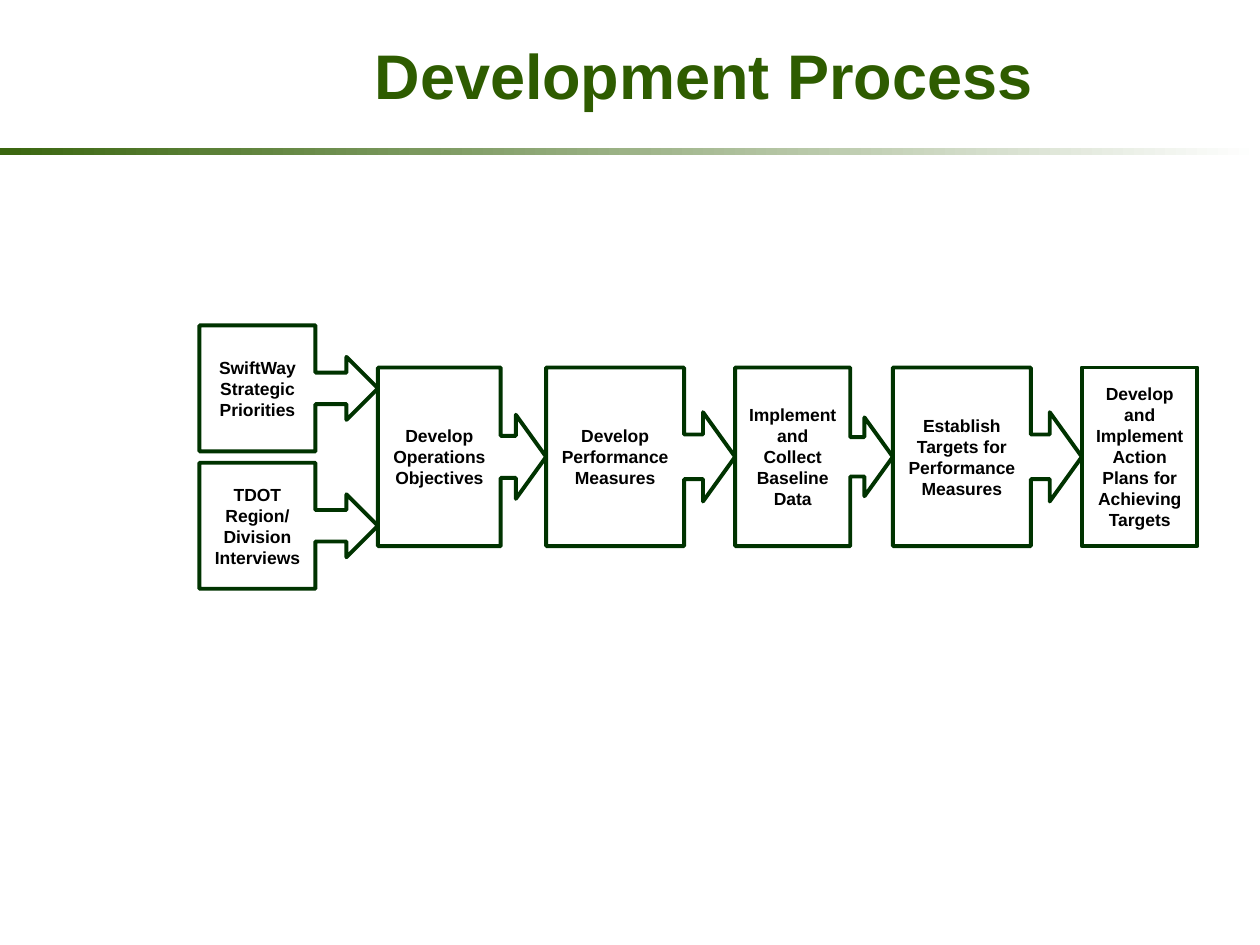
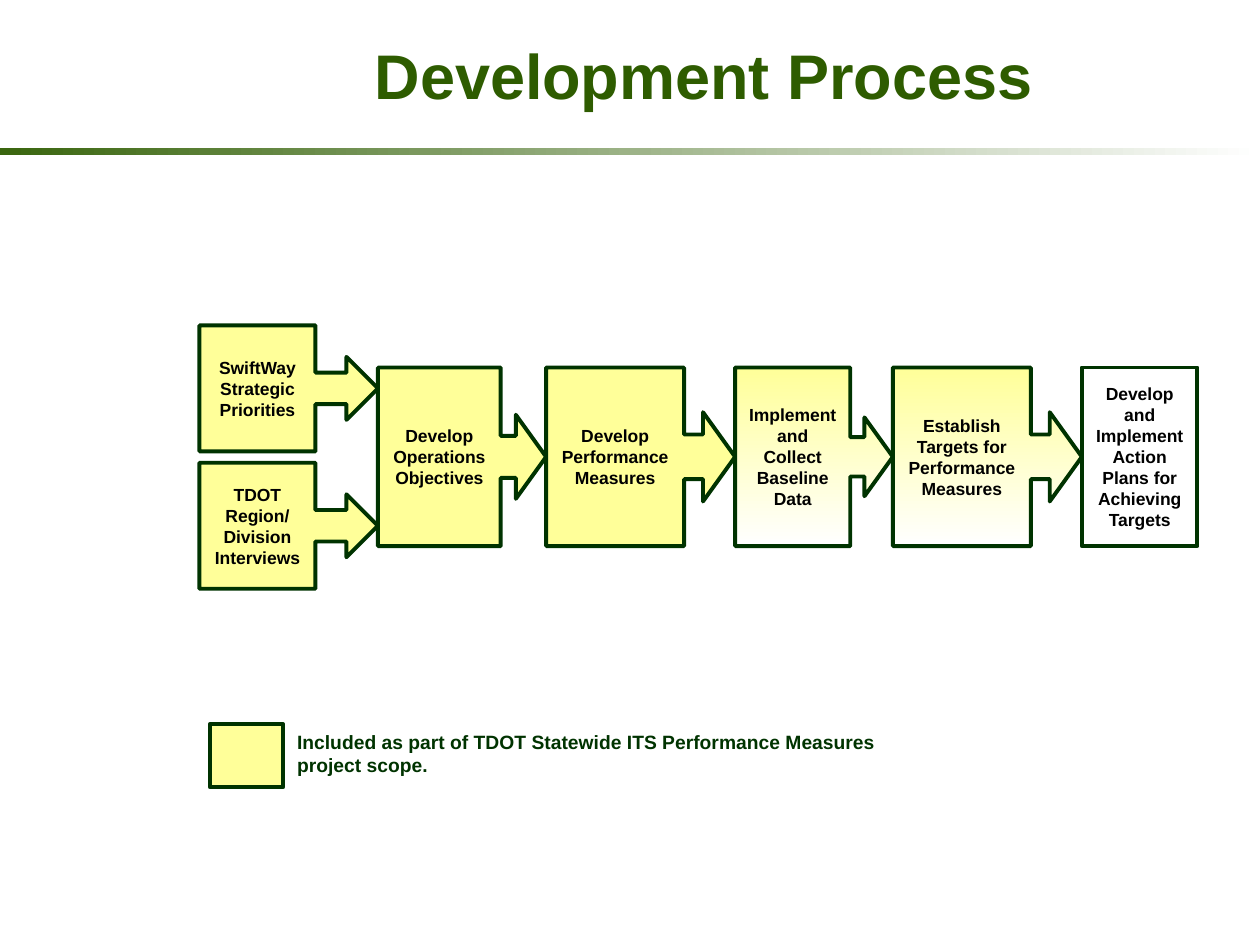
import pptx
import pptx.util
import pptx.dml.color
import pptx.enum.shapes
import pptx.enum.text

Cm = pptx.util.Cm
Pt = pptx.util.Pt
MSO_SHAPE = pptx.enum.shapes.MSO_SHAPE
PP_ALIGN = pptx.enum.text.PP_ALIGN
MSO_ANCHOR = pptx.enum.text.MSO_ANCHOR

COLORS = {
    "title": "2E5C00",
    "band": "3A660F",
    "outline": "003300",
    "text": "000000",
    "scope": "FFFF99",
    "white": "FFFFFF",
}
FONT = "Arial"

INPUT_LEFT, INPUT_TOP, INPUT_PITCH = 4.02, 6.56, 2.77
INPUT_W, INPUT_H = 3.6, 2.54
INPUT_ADJ = (0.25, 0.25, 0.25, 0.65)
INPUTS = ["SwiftWay Strategic Priorities", "TDOT Region/ Division Interviews"]

STEP_LEFT, STEP_TOP, STEP_H = 7.62, 7.41, 3.6
STEP_ADJ = (0.25, 0.25, 0.18, 0.73)
STEPS = [
    ("Develop Operations Objectives", 3.39, "full"),
    ("Develop Performance Measures", 3.81, "full"),
    ("Implement and Collect Baseline Data", 3.18, "partial"),
    ("Establish Targets for Performance Measures", 3.81, "partial"),
]
LAST_STEP, LAST_W = "Develop and Implement Action Plans for Achieving Targets", 2.33


def rgb(name):
    return pptx.dml.color.RGBColor.from_string(COLORS[name])


class Deck:
    def __init__(self):
        self.prs = pptx.Presentation()
        self.prs.slide_width = Cm(25.4)
        self.prs.slide_height = Cm(19.05)
        self.layout = self.prs.slide_layouts.get_by_name("Title Only")
        self.s = None

    def new_slide(self, title):
        self.s = self.prs.slides.add_slide(self.layout)
        if len(self.prs.slides) == 1:
            self.shared_band()
        sp = self.s.shapes.title
        sp.left, sp.top, sp.width, sp.height = Cm(2.97), Cm(0.2), Cm(22.43), Cm(2.59)
        self.set_text(sp.text_frame, [title], 36, "title", PP_ALIGN.CENTER)

    def shared_band(self):
        sp = self.shape(MSO_SHAPE.RECTANGLE, 0, 2.98, 25.4, 0.14)
        sp.line.fill.background()
        self.gradient(sp, "band", "white", 0)
        self.layout.shapes.element.append(sp.element)

    def gradient(self, sp, start, end, angle):
        sp.fill.gradient()
        sp.fill.gradient_angle = angle
        for stop, color in zip(sp.fill.gradient_stops, (start, end)):
            stop.color.rgb = rgb(color)

    def set_text(self, tf, lines, size, color, align, anchor=MSO_ANCHOR.MIDDLE):
        tf.vertical_anchor = anchor
        for i, line in enumerate(lines):
            p = tf.paragraphs[0] if i == 0 else tf.add_paragraph()
            p.text = line
            p.alignment = align
            p.font.name = FONT
            p.font.size = Pt(size)
            p.font.bold = True
            p.font.color.rgb = rgb(color)

    def shape(self, kind, left, top, width, height):
        sp = self.s.shapes.add_shape(kind, Cm(left), Cm(top), Cm(width), Cm(height))
        sp.shadow.inherit = False
        return sp

    def box(self, left, top, width, height, text=None, scope=None, adj=None):
        kind = MSO_SHAPE.RIGHT_ARROW_CALLOUT if adj else MSO_SHAPE.RECTANGLE
        sp = self.shape(kind, left, top, width, height)
        for i, value in enumerate(adj or ()):
            sp.adjustments[i] = value
        sp.line.color.rgb = rgb("outline")
        sp.line.width = Pt(2.25)
        if scope == "full":
            sp.fill.solid()
            sp.fill.fore_color.rgb = rgb("scope")
        elif scope == "partial":
            self.gradient(sp, "scope", "white", 270)
        else:
            sp.fill.background()
        if text:
            self.set_text(sp.text_frame, [text], 10, "text", PP_ALIGN.CENTER)

    def label(self, left, top, width, height, lines):
        sp = self.s.shapes.add_textbox(Cm(left), Cm(top), Cm(width), Cm(height))
        sp.text_frame.word_wrap = False
        self.set_text(sp.text_frame, lines, 11, "outline", PP_ALIGN.LEFT, MSO_ANCHOR.TOP)

    def process(self, show_scope):
        for i, text in enumerate(INPUTS):
            self.box(INPUT_LEFT, INPUT_TOP + i * INPUT_PITCH, INPUT_W, INPUT_H,
                     text, "full" if show_scope else None, INPUT_ADJ)
        left = STEP_LEFT
        for text, width, scope in STEPS:
            self.box(left, STEP_TOP, width, STEP_H, text,
                     scope if show_scope else None, STEP_ADJ)
            left += width
        self.box(left, STEP_TOP, LAST_W, STEP_H, LAST_STEP)

    def legend(self):
        self.box(4.23, 14.6, 1.48, 1.27, scope="full")
        self.label(5.74, 14.6, 12.27, 1.19, [
            "Included as part of TDOT Statewide ITS Performance Measures",
            "project scope.",
        ])


def main():
    deck = Deck()
    for show_scope in (False, True):
        deck.new_slide("Development Process")
        deck.process(show_scope)
    deck.legend()
    deck.prs.save("out.pptx")


if __name__ == "__main__":
    main()
